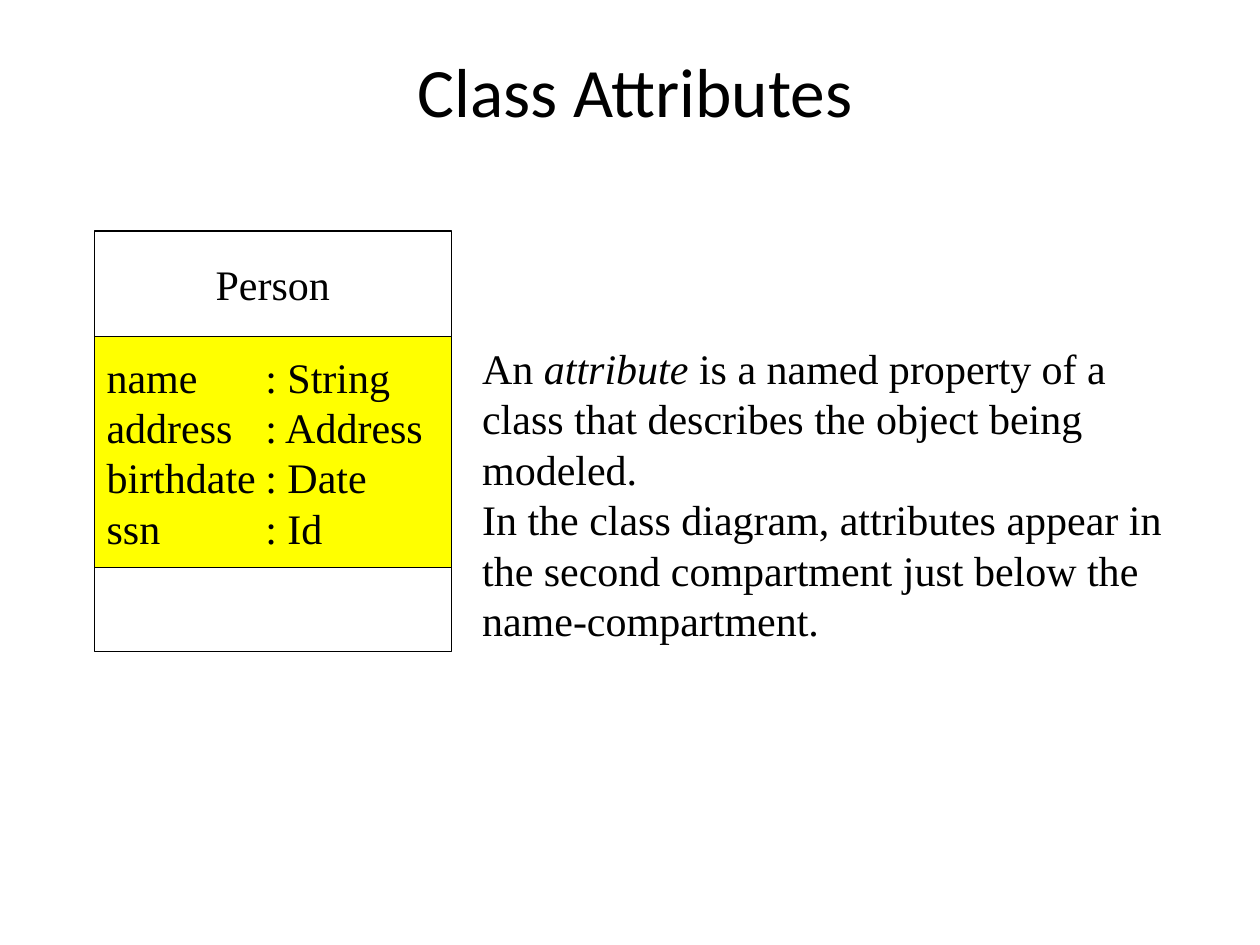
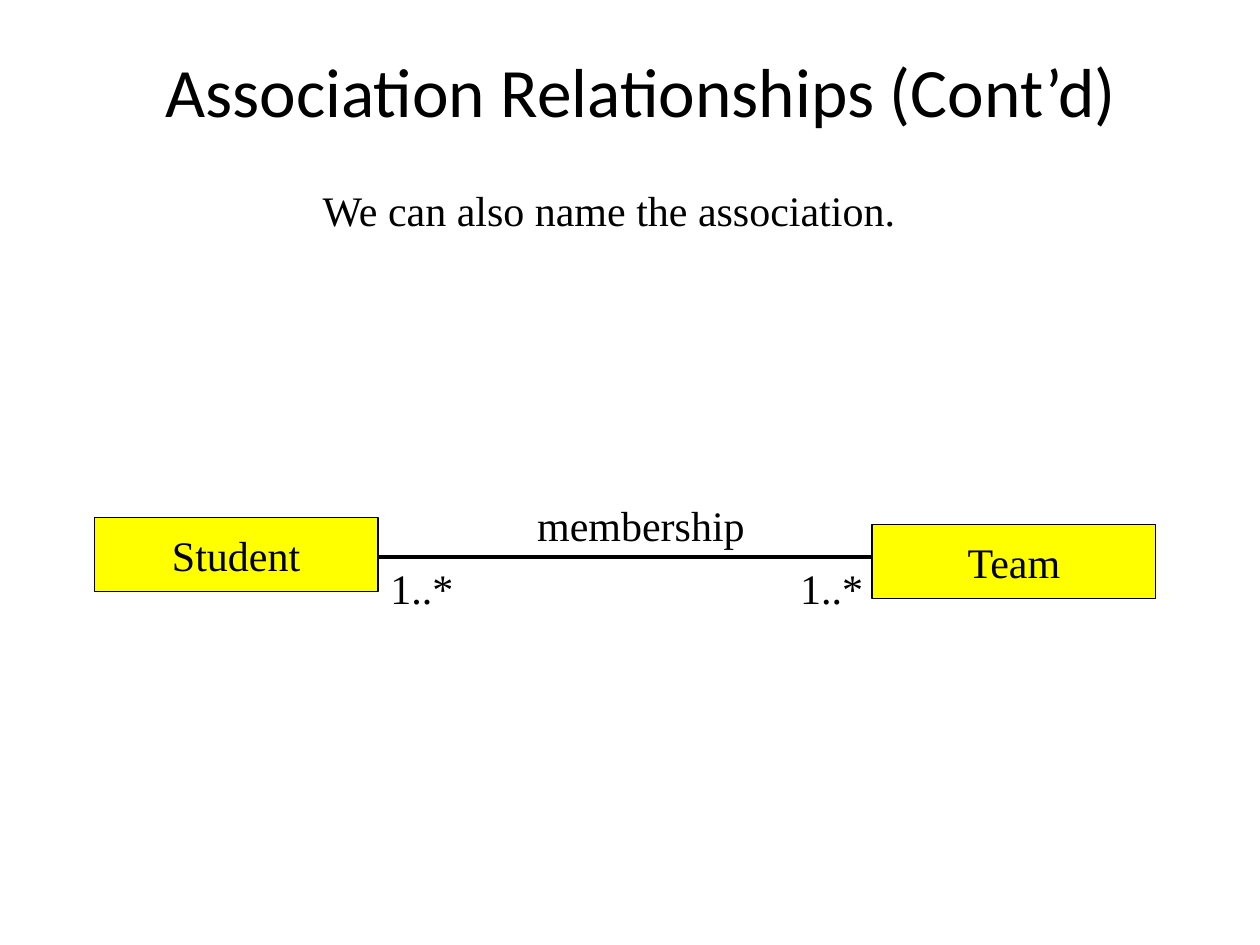
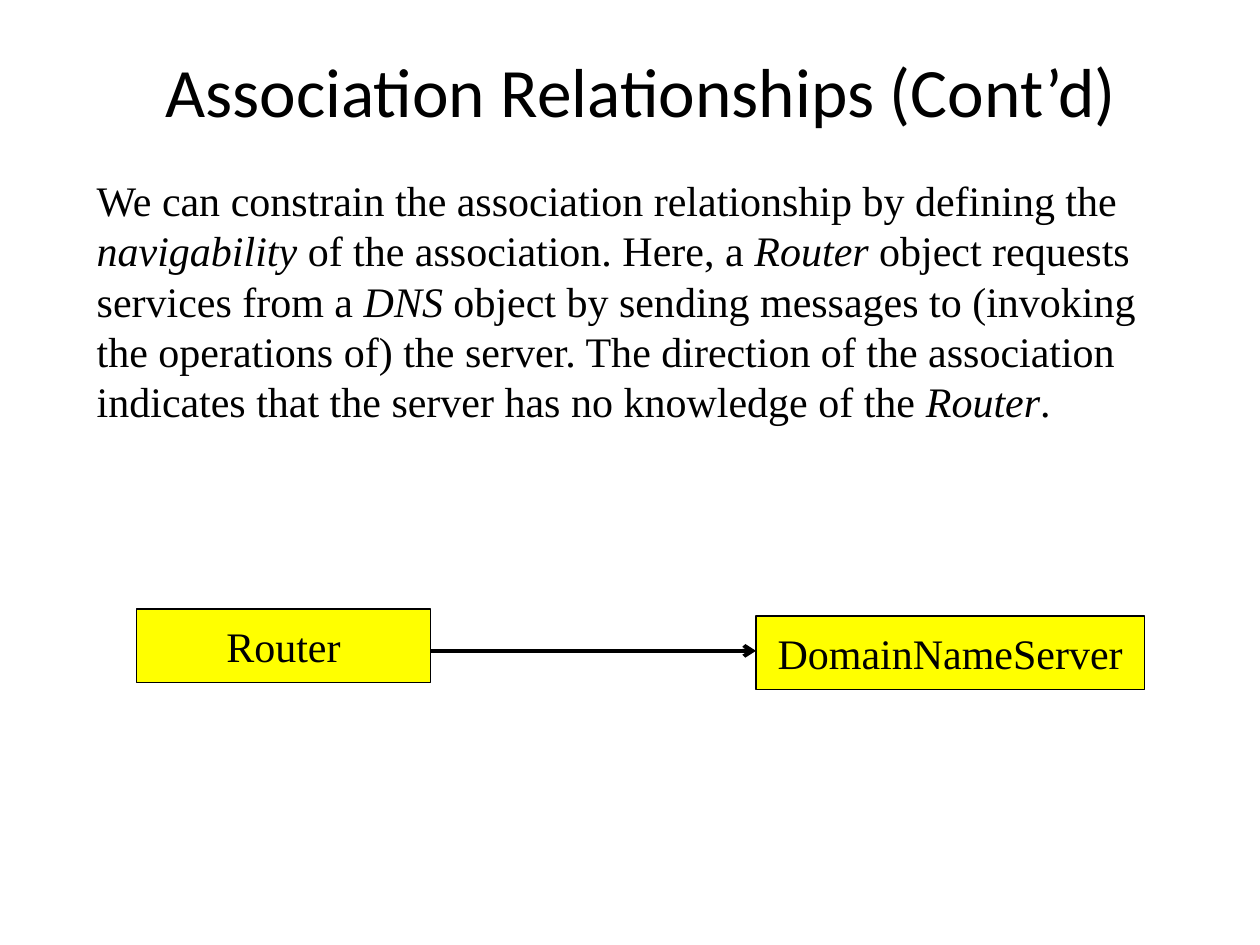
from lxml import etree
from pptx import Presentation
from pptx.dml.color import RGBColor
from pptx.enum.shapes import MSO_CONNECTOR, MSO_SHAPE
from pptx.enum.text import MSO_ANCHOR, MSO_AUTO_SIZE, PP_ALIGN
from pptx.oxml.ns import qn
from pptx.util import Cm, Pt

LEFT, CENTER = PP_ALIGN.LEFT, PP_ALIGN.CENTER
TOP, MIDDLE = MSO_ANCHOR.TOP, MSO_ANCHOR.MIDDLE
RECTANGLE = MSO_SHAPE.RECTANGLE
STRAIGHT = MSO_CONNECTOR.STRAIGHT

BLACK = RGBColor(0x00, 0x00, 0x00)
WHITE = RGBColor(0xFF, 0xFF, 0xFF)
YELLOW = RGBColor(0xFF, 0xFF, 0x00)

TITLE_FONT = "Calibri"
BODY_FONT = "Times New Roman"
ATTRIBUTE_TAB = Cm(3.2)
CLASS_HEIGHT = 1.48


def add_box(slide, frame, text, alignment=LEFT, fill=None):
    """Add a text box, or an outlined class box if a fill is given.

    Lines become paragraphs; underscores enclose italic words.
    """
    left, top, width, height = [Cm(length) for length in frame]
    if fill is None:
        shape = slide.shapes.add_textbox(left, top, width, height)
    else:
        shape = slide.shapes.add_shape(RECTANGLE, left, top, width, height)
        shape.shadow.inherit = False
        shape.fill.solid()
        shape.fill.fore_color.rgb = fill
        shape.line.color.rgb = BLACK
        shape.line.width = Pt(0.75)
    text_frame = shape.text_frame
    text_frame.word_wrap = True
    text_frame.vertical_anchor = TOP if fill is None else MIDDLE
    for index, line in enumerate(text.split("\n")):
        paragraph = text_frame.paragraphs[0] if index == 0 else text_frame.add_paragraph()
        paragraph.alignment = alignment
        if "\t" in line:
            properties = paragraph._p.get_or_add_pPr()
            tabs = etree.SubElement(properties, qn("a:tabLst"))
            etree.SubElement(tabs, qn("a:tab"), pos=str(ATTRIBUTE_TAB), algn="l")
        paragraph.font.name = BODY_FONT
        paragraph.font.size = Pt(24)
        paragraph.font.color.rgb = BLACK
        for part, words in enumerate(line.split("_")):
            if words:
                run = paragraph.add_run()
                run.text = words
                if part % 2:
                    run.font.italic = True


def add_association(slide, start, end, y, arrow=False):
    connector = slide.shapes.add_connector(STRAIGHT, Cm(start), Cm(y), Cm(end), Cm(y))
    connector.line.color.rgb = BLACK
    connector.line.width = Pt(2.25)
    if arrow:
        etree.SubElement(connector.line._get_or_add_ln(), qn("a:tailEnd"), type="arrow")
    etree.SubElement(connector._element.spPr, qn("a:effectLst"))


presentation = Presentation()
presentation.slide_width = Cm(25.4)
presentation.slide_height = Cm(19.05)

# Slides with their titles
slides = []
for text, left, width in [
    ("Class Attributes", 1.9, 21.8),
    ("Association Relationships (Cont’d)", 1.7, 22.43),
    ("Association Relationships (Cont’d)", 1.7, 22.43),
]:
    slide = presentation.slides.add_slide(presentation.slide_layouts[5])
    title = slide.shapes.title
    title.left, title.top, title.width, title.height = Cm(left), Cm(1.06), Cm(width), Cm(1.48)
    title.text_frame.text = text
    title.text_frame.auto_size = MSO_AUTO_SIZE.NONE
    title.text_frame.vertical_anchor = MIDDLE
    paragraph = title.text_frame.paragraphs[0]
    paragraph.alignment = CENTER
    paragraph.font.name = TITLE_FONT
    paragraph.font.size = Pt(39.6)
    paragraph.font.color.rgb = BLACK
    slides.append(slide)
attributes_slide, naming_slide, navigability_slide = slides

# Class attributes: three stacked compartments and their explanation
attributes = "name\t: String\naddress\t: Address\nbirthdate\t: Date\nssn\t: Id"
top = 4.66
for text, height, alignment, fill in [
    ("Person", 2.12, CENTER, WHITE),
    (attributes, 4.66, LEFT, YELLOW),
    ("", 1.69, CENTER, WHITE),
]:
    add_box(attributes_slide, (1.9, top, 7.2, height), text, alignment, fill)
    top += height
add_box(
    attributes_slide, (9.47, 6.78, 14.73, 6.4),
    "An _attribute_ is a named property of a class that describes the object being modeled.\n"
    "In the class diagram, attributes appear in the second compartment just below the "
    "name-compartment.",
)

# Named association
add_box(naming_slide, (4.24, 3.6, 16.08, 1.27), "We can also name the association.", CENTER)
add_association(naming_slide, 7.62, 17.58, 11.22)
add_box(naming_slide, (17.58, 10.58, 5.72, CLASS_HEIGHT), "Team", CENTER, YELLOW)
add_box(naming_slide, (1.9, 10.44, 5.72, CLASS_HEIGHT), "Student", CENTER, YELLOW)
for text, left, top, width in [
    ("membership", 10.58, 9.95, 4.87),
    ("1..*", 7.62, 11.22, 2.12),
    ("1..*", 15.88, 11.22, 1.9),
]:
    add_box(naming_slide, (left, top, width, 1.27), text)

# Association with a direction
add_box(
    navigability_slide, (1.7, 3.39, 22.53, 5.33),
    "We can constrain the association relationship by defining the _navigability_ of the "
    "association. Here, a _Router_ object requests services from a _DNS_ object by sending "
    "messages to (invoking the operations of) the server. The direction of the association "
    "indicates that the server has no knowledge of the _Router_.",
)
add_association(navigability_slide, 8.68, 15.24, 13.12, arrow=True)
add_box(navigability_slide, (2.75, 12.28, 5.93, CLASS_HEIGHT), "Router", CENTER, YELLOW)
add_box(navigability_slide, (15.24, 12.42, 7.83, CLASS_HEIGHT), "DomainNameServer", CENTER, YELLOW)

presentation.save("out.pptx")
